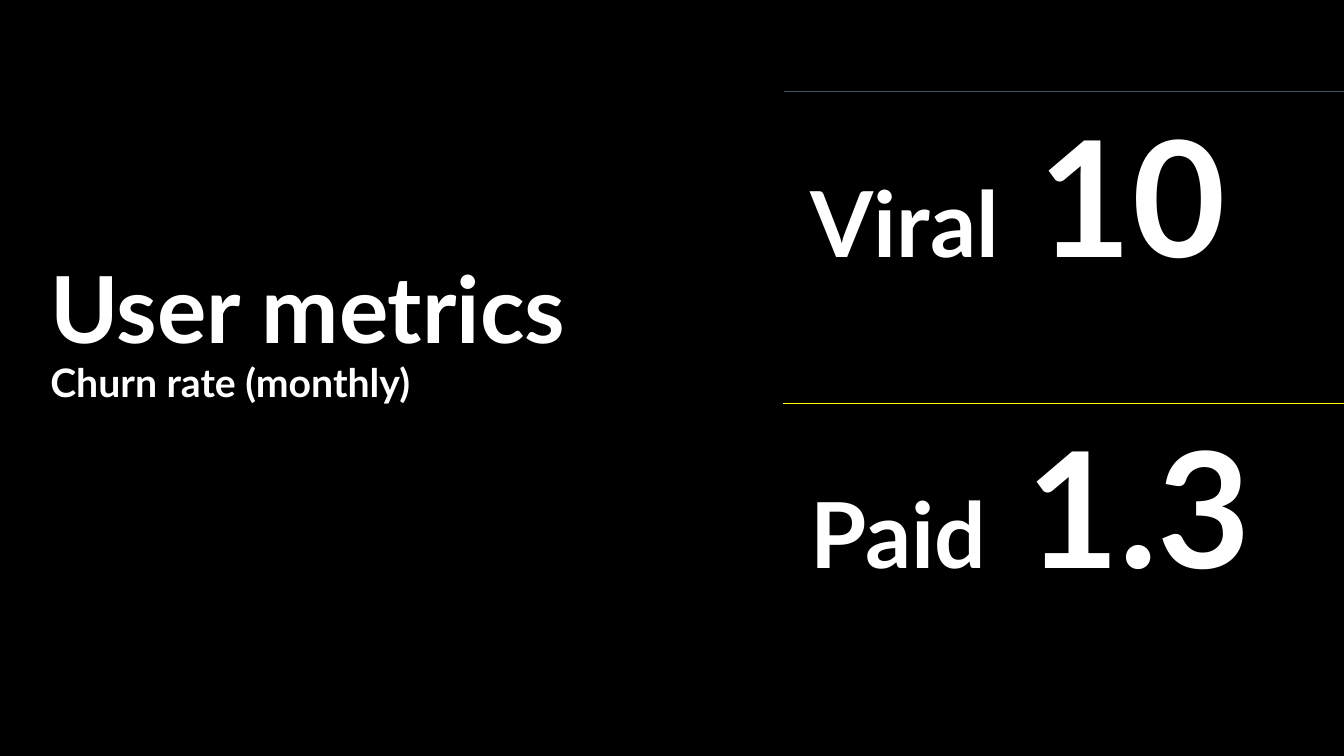
from pptx import Presentation
from pptx import util as u
from pptx.dml.color import RGBColor
from pptx.enum import shapes, text
from pptx.oxml.ns import qn
from lxml import etree

BLACK = RGBColor(0x00, 0x00, 0x00)
WHITE = RGBColor(0xFF, 0xFF, 0xFF)
SLATE = RGBColor(0x44, 0x54, 0x6A)
YELLOW = RGBColor(0xFF, 0xFF, 0x00)

ROW_LEFT, ROW_TOP = 19.74, 2.29
ROW_WIDTH, ROW_HEIGHT = 22.33, 7.85
ROW_INSET = 0.69


def add_text(s, x, y, w, h, anchor, inset=None):
    sp = s.shapes.add_textbox(u.Cm(x), u.Cm(y), u.Cm(w), u.Cm(h))
    tf = sp.text_frame
    tf.word_wrap = True
    tf.vertical_anchor = anchor
    if inset is not None:
        tf.margin_left = tf.margin_right = u.Cm(inset)
        tf.margin_top = tf.margin_bottom = u.Cm(inset)
    p = tf.paragraphs[0]
    p.line_spacing = 0.9
    return sp, p


def add_run(p, words, size):
    r = p.add_run()
    r.text = words
    r.font.name = "Lato"
    r.font.size = u.Pt(size)
    r.font.bold = True
    r.font.color.rgb = WHITE
    return r


def add_divider(s, x1, x2, y, color):
    ln = s.shapes.add_connector(shapes.MSO_CONNECTOR.STRAIGHT,
                                u.Cm(x1), u.Cm(y), u.Cm(x2), u.Cm(y))
    ln.line.color.rgb = color
    ln.line.width = u.Pt(1)
    etree.SubElement(ln._element.spPr, qn("a:effectLst"))


def add_metric(s, y, label, value):
    sp, p = add_text(s, ROW_LEFT, y, ROW_WIDTH, ROW_HEIGHT,
                     text.MSO_ANCHOR.TOP, ROW_INSET)
    add_run(p, label, 65)
    # One space, widened by character spacing
    gap = add_run(p, " ", 65)
    gap.font._element.set("spc", "1250")
    add_run(p, value, 115)
    return sp


def main():
    prs = Presentation()
    prs.slide_width, prs.slide_height = u.Cm(33.87), u.Cm(19.05)
    s = prs.slides.add_slide(prs.slide_layouts[6])
    s.background.fill.solid()
    s.background.fill.fore_color.rgb = BLACK

    # Title and subtitle
    sp, p = add_text(s, 1.02, 0.71, 16.43, 15.47, text.MSO_ANCHOR.MIDDLE)
    p.space_after = u.Pt(6)
    add_run(p, "User metrics", 66)
    p.add_line_break()
    add_run(p, "Churn rate (monthly)", 28)

    # Viral row: the black outline dims the divider on its top edge
    add_divider(s, ROW_LEFT, ROW_LEFT + ROW_WIDTH, ROW_TOP, SLATE)
    viral = add_metric(s, ROW_TOP, "Viral", "10")
    viral.line.color.rgb = BLACK
    viral.line.width = u.Pt(0.75)

    # Paid row
    paid_top = ROW_TOP + ROW_HEIGHT
    add_metric(s, paid_top, "Paid", "1.3")
    add_divider(s, 34.57, ROW_LEFT, paid_top + 0.02, YELLOW)

    prs.save("out.pptx")


if __name__ == "__main__":
    main()
